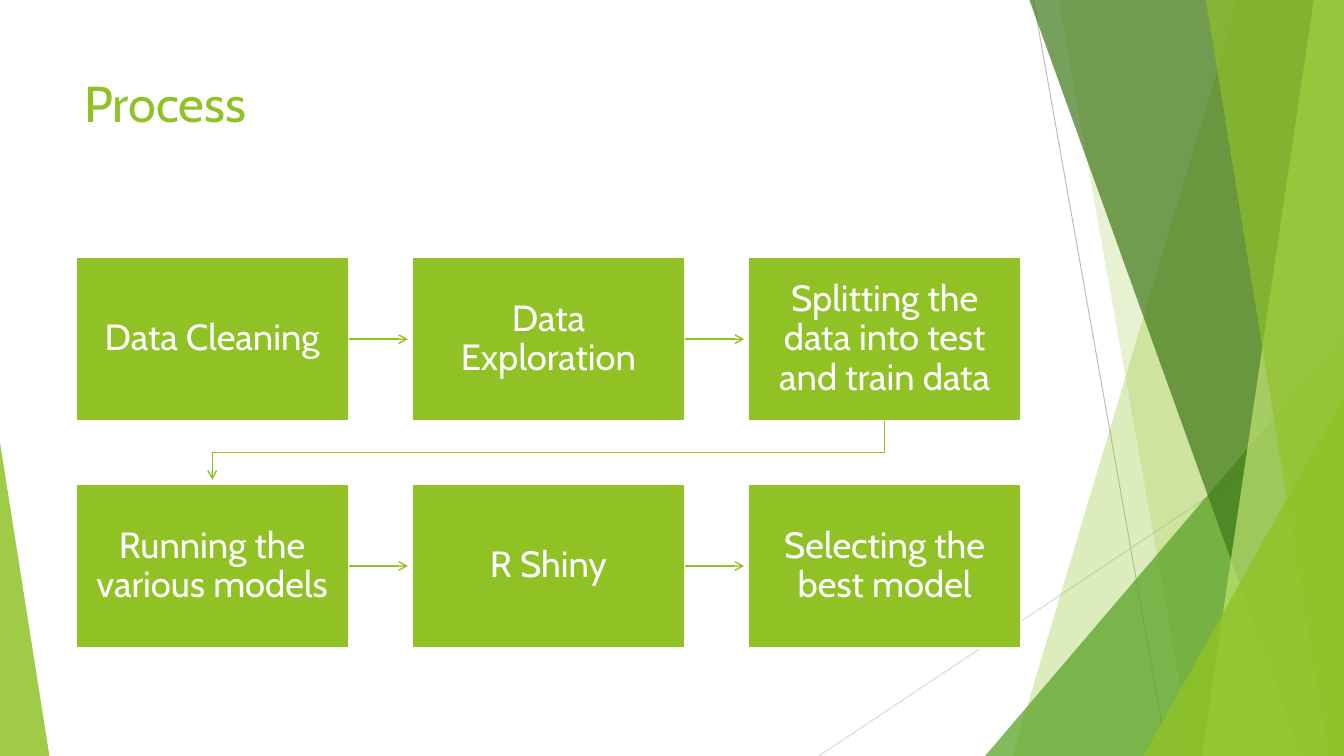
from dataclasses import dataclass

from pptx import Presentation
from pptx.dml.color import RGBColor
from pptx.enum.shapes import MSO_CONNECTOR, MSO_SHAPE
from pptx.enum.text import MSO_ANCHOR, PP_ALIGN
from pptx.oxml.ns import qn
from pptx.util import Inches, Pt
from lxml.etree import SubElement


@dataclass(frozen=True)
class Theme:
    font: str = "Cabin"
    green: str = "90C226"
    leaf: str = "54A021"
    forest: str = "3F7819"
    lime: str = "C0E474"
    white: str = "FFFFFF"
    gray: str = "BFBFBF"
    pale_gray: str = "D9D9D9"
    title_size: int = 36
    step_size: int = 26


THEME = Theme()
WIDTH, HEIGHT = 13.33, 7.5

# Grid of the process steps, in inches
COLUMNS = 3
GRID_LEFT, GRID_TOP = 0.75, 2.55
STEP_WIDTH, STEP_HEIGHT = 2.71, 1.63
COLUMN_PITCH, ROW_PITCH = 3.335, 2.25
ARROW_GAP = 0.04  # space between an arrowhead and the next step

STEPS = [
    "Data Cleaning",
    "Data Exploration",
    "Splitting the data into test and train data",
    "Running the various models",
    "R Shiny",
    "Selecting the best model",
]


def set_values(target, values):
    for name, value in values.items():
        setattr(target, name, value)


def set_fill(shape, color, opacity=100):
    shape.fill.solid()
    shape.fill.fore_color.rgb = RGBColor.from_string(color)
    if opacity < 100:
        color_element = shape.fill._xPr.find(qn("a:solidFill"))[0]
        SubElement(color_element, qn("a:alpha"), val=str(opacity * 1000))


def set_line(shape, color, width, arrow=False):
    shape.line.color.rgb = RGBColor.from_string(color)
    shape.line.width = Pt(width)
    if arrow:
        SubElement(shape.line._get_or_add_ln(), qn("a:tailEnd"), type="arrow")


def write_text(shape, text, size, color, frame_values, paragraph_values):
    frame = shape.text_frame
    set_values(frame, {"word_wrap": True, **frame_values})
    paragraph = frame.paragraphs[0]
    set_values(paragraph, paragraph_values)
    run = paragraph.add_run()
    run.text = text
    set_values(run.font, {"name": THEME.font, "size": Pt(size)})
    run.font.color.rgb = RGBColor.from_string(color)


def add_path(slide, points, close):
    corners = [(Inches(x), Inches(y)) for x, y in points]
    builder = slide.shapes.build_freeform(*corners[0], scale=1.0)
    builder.add_line_segments(corners[1:], close=close)
    shape = builder.convert_to_shape()
    shape.shadow.inherit = False
    return shape


def add_line(slide, start, end, color, width, arrow=False):
    ends = [Inches(value) for value in (*start, *end)]
    line = slide.shapes.add_connector(MSO_CONNECTOR.STRAIGHT, *ends)
    set_line(line, color, width, arrow)
    SubElement(line._element.spPr, qn("a:effectLst"))
    return line


def add_panel(slide, top_x, bottom_x, color, opacity):
    """A slanted facet that reaches the right edge of the slide."""
    points = [(top_x, 0), (WIDTH, 0), (WIDTH, HEIGHT), (bottom_x, HEIGHT)]
    panel = add_path(slide, points, close=True)
    set_fill(panel, color, opacity)
    panel.line.fill.background()


def add_corner(slide, left, top, width, peak, color, opacity):
    """A right triangle standing on the bottom edge; peak 0 is left, 1 right."""
    box = [Inches(value) for value in (left, top, width, HEIGHT - top)]
    corner = slide.shapes.add_shape(MSO_SHAPE.ISOSCELES_TRIANGLE, *box)
    corner.adjustments[0] = peak
    corner.shadow.inherit = False
    set_fill(corner, color, opacity)
    corner.line.fill.background()


def add_background(slide):
    add_line(slide, (10.25, 0), (11.58, HEIGHT), THEME.gray, 0.75)
    add_line(slide, (WIDTH, 4.03), (8.12, HEIGHT), THEME.pale_gray, 0.75)
    add_panel(slide, 12.28, 10.04, THEME.green, 30)
    add_panel(slide, 10.5, 11.83, THEME.green, 20)
    add_corner(slide, 9.77, 3.33, 3.56, 1, THEME.leaf, 72)
    add_panel(slide, 10.21, 12.91, THEME.forest, 70)
    add_panel(slide, 13.03, 11.92, THEME.lime, 70)
    add_panel(slide, 11.96, 13.18, THEME.green, 65)
    add_corner(slide, 11.34, 3.93, 1.99, 1, THEME.green, 80)
    add_corner(slide, 0, 4.39, 0.49, 0, THEME.green, 85)


def add_title(slide, text):
    box = [Inches(value) for value in (0.74, 0.67, 9.4, 1.44)]
    title = slide.shapes.add_textbox(*box)
    write_text(title, text, THEME.title_size, THEME.green,
               {"vertical_anchor": MSO_ANCHOR.TOP}, {"alignment": PP_ALIGN.LEFT})


def step_corner(index):
    row, column = divmod(index, COLUMNS)
    return GRID_LEFT + column * COLUMN_PITCH, GRID_TOP + row * ROW_PITCH


def add_step(slide, index, text):
    box = [Inches(value) for value in (*step_corner(index), STEP_WIDTH, STEP_HEIGHT)]
    step = slide.shapes.add_shape(MSO_SHAPE.RECTANGLE, *box)
    step.shadow.inherit = False
    set_fill(step, THEME.green)
    set_line(step, THEME.white, 1.5)
    margins = {f"margin_{side}": Inches(0.2) for side in ("left", "top", "right", "bottom")}
    write_text(step, text, THEME.step_size, THEME.white,
               {"vertical_anchor": MSO_ANCHOR.MIDDLE, **margins},
               {"alignment": PP_ALIGN.CENTER, "line_spacing": 0.9})
    return step


def add_step_arrow(slide, index, step):
    """Points from a step to its right-hand neighbour."""
    left, top = step_corner(index)
    middle = top + STEP_HEIGHT / 2
    end = left + COLUMN_PITCH - ARROW_GAP
    arrow = add_line(slide, (left + STEP_WIDTH, middle), (end, middle),
                     THEME.green, 1, arrow=True)
    arrow.begin_connect(step, 3)


def add_row_arrow(slide, index):
    """Runs from the last step of a row back to the first of the next."""
    left, top = step_corner(index)
    next_left, next_top = step_corner(index + 1)
    start_x, end_x = left + STEP_WIDTH / 2, next_left + STEP_WIDTH / 2
    bottom = top + STEP_HEIGHT
    middle = (bottom + next_top) / 2
    points = [(start_x, bottom), (start_x, middle), (end_x, middle),
              (end_x, next_top - ARROW_GAP)]
    arrow = add_path(slide, points, close=False)
    arrow.fill.background()
    set_line(arrow, THEME.green, 1, arrow=True)


def add_process(slide):
    for index, text in enumerate(STEPS):
        step = add_step(slide, index, text)
        if index == len(STEPS) - 1:
            continue
        if (index + 1) % COLUMNS:
            add_step_arrow(slide, index, step)
        else:
            add_row_arrow(slide, index)


def main():
    presentation = Presentation()
    set_values(presentation, {"slide_width": Inches(WIDTH), "slide_height": Inches(HEIGHT)})
    slide = presentation.slides.add_slide(presentation.slide_layouts[6])
    add_background(slide)
    add_title(slide, "Process")
    add_process(slide)
    presentation.save("out.pptx")


if __name__ == "__main__":
    main()
